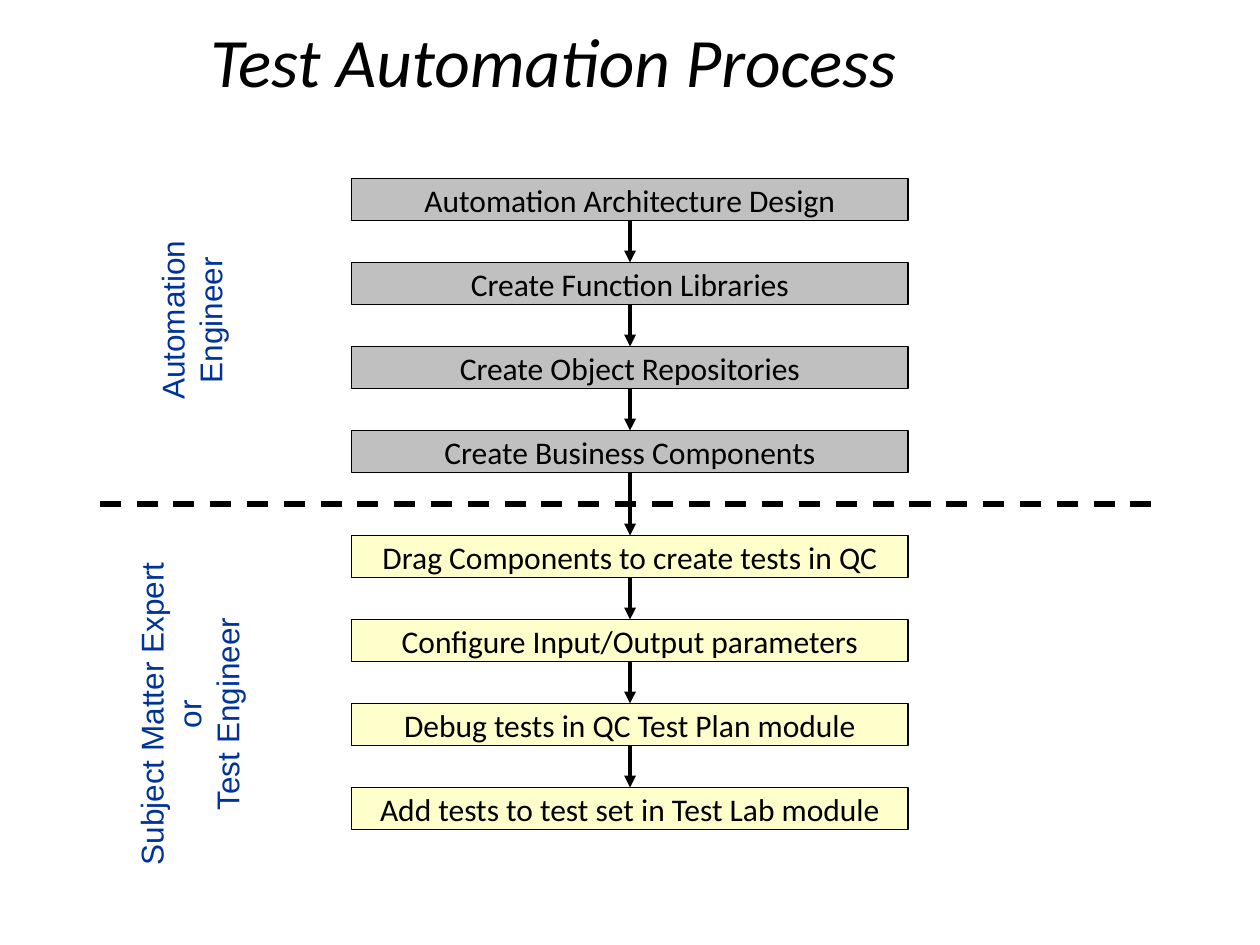
from dataclasses import dataclass
from itertools import pairwise

from lxml import etree
from pptx import Presentation
from pptx.dml.color import RGBColor
from pptx.enum.dml import MSO_LINE
from pptx.enum.shapes import MSO_CONNECTOR, MSO_SHAPE
from pptx.enum.text import MSO_ANCHOR, MSO_AUTO_SIZE, PP_ALIGN
from pptx.oxml.ns import qn
from pptx.util import Inches, Pt

RECTANGLE = MSO_SHAPE.RECTANGLE
STRAIGHT = MSO_CONNECTOR.STRAIGHT
DASH = MSO_LINE.DASH
CENTER = PP_ALIGN.CENTER
MIDDLE, TOP = MSO_ANCHOR.MIDDLE, MSO_ANCHOR.TOP
FIXED, GROW = MSO_AUTO_SIZE.NONE, MSO_AUTO_SIZE.SHAPE_TO_FIT_TEXT

COLUMNS, ROWS = 120, 90


@dataclass(frozen=True)
class Theme:
    ink: RGBColor = RGBColor(0x00, 0x00, 0x00)
    role: RGBColor = RGBColor(0x00, 0x33, 0x99)
    engineer_fill: RGBColor = RGBColor(0xC0, 0xC0, 0xC0)
    expert_fill: RGBColor = RGBColor(0xFF, 0xFF, 0xCC)
    heading_font: str = "Calibri"
    role_font: str = "Arial"
    title_size: float = 39.6
    text_size: float = 18
    outline: float = 0.75
    arrow: float = 2.25
    divider: float = 3


class ProcessSlide:
    """Places elements on a grid of COLUMNS by ROWS."""

    def __init__(self, deck, theme):
        self.theme = theme
        self.slide = deck.slides.add_slide(deck.slide_layouts[5])
        self.column = deck.slide_width / COLUMNS
        self.row = deck.slide_height / ROWS

    def grid(self, left, top, width, height):
        return (round(left * self.column), round(top * self.row),
                round(width * self.column), round(height * self.row))

    def set_text(self, frame, lines, color, frame_format, font_format):
        for name, value in frame_format.items():
            setattr(frame, name, value)
        frame.text = "\n".join(lines)
        for paragraph in frame.paragraphs:
            paragraph.alignment = CENTER
            font = paragraph.runs[0].font
            font.color.rgb = color
            for name, value in font_format.items():
                setattr(font, name, value)

    def title(self, text, place):
        title = self.slide.shapes.title
        title.left, title.top, title.width, title.height = self.grid(*place)
        self.set_text(title.text_frame, [text], self.theme.ink,
                      {"vertical_anchor": MIDDLE, "auto_size": FIXED, "word_wrap": True},
                      {"name": self.theme.heading_font, "size": Pt(self.theme.title_size),
                       "italic": True})

    def role(self, lines, place):
        label = self.slide.shapes.add_textbox(*self.grid(*place))
        label.rotation = 270
        self.set_text(label.text_frame, lines, self.theme.role,
                      {"vertical_anchor": TOP, "auto_size": GROW, "word_wrap": True},
                      {"name": self.theme.role_font, "size": Pt(self.theme.text_size)})

    def step(self, text, place, fill):
        box = self.slide.shapes.add_shape(RECTANGLE, *self.grid(*place))
        box.shadow.inherit = False
        box.fill.solid()
        box.fill.fore_color.rgb = fill
        box.line.color.rgb = self.theme.ink
        box.line.width = Pt(self.theme.outline)
        self.set_text(box.text_frame, [text], self.theme.ink,
                      {"vertical_anchor": MIDDLE, "word_wrap": False},
                      {"name": self.theme.heading_font, "size": Pt(self.theme.text_size)})
        return box

    def line(self, start, end, weight):
        line = self.slide.shapes.add_connector(STRAIGHT, *self.grid(*start, *end))
        line.line.color.rgb = self.theme.ink
        line.line.width = Pt(weight)
        etree.SubElement(line._element.spPr, qn("a:effectLst"))
        return line

    def divider(self, start, end):
        self.line(start, end, self.theme.divider).line.dash_style = DASH

    def arrow(self, upper, lower):
        arrow = self.line((0, 0), (0, 0), self.theme.arrow)
        arrow.begin_connect(upper, 2)
        arrow.end_connect(lower, 0)
        outline = arrow._element.spPr.find(qn("a:ln"))
        etree.SubElement(outline, qn("a:tailEnd"), type="triangle")


theme = Theme()
deck = Presentation()
deck.slide_width, deck.slide_height = Inches(10), Inches(7.5)
process = ProcessSlide(deck, theme)

process.title("Test Automation Process", (7.5, 2.25, 90.4, 6.8))

# Roles and the line between them
process.role(["Automation", "Engineer"], (7.7, 26.3, 21, 8.4))
process.divider((9.5, 48), (110.5, 48))
process.role(["Subject Matter Expert", "or", "Test Engineer"], (0, 62, 36, 12))

# Steps of each role: first row, fill, wording
PHASES = [
    (17, theme.engineer_fill, ["Automation Architecture Design",
                               "Create Function Libraries",
                               "Create Object Repositories",
                               "Create Business Components"]),
    (51, theme.expert_fill, ["Drag Components to create tests in QC",
                             "Configure Input/Output parameters",
                             "Debug tests in QC Test Plan module",
                             "Add tests to test set in Test Lab module"]),
]
STEP_LEFT, STEP_WIDTH, STEP_HEIGHT, STEP_PITCH = 33.5, 53, 4, 8

steps = [
    process.step(text, (STEP_LEFT, first_row + i * STEP_PITCH, STEP_WIDTH, STEP_HEIGHT), fill)
    for first_row, fill, texts in PHASES
    for i, text in enumerate(texts)
]

# Flow from each step to the next
for upper, lower in pairwise(steps):
    process.arrow(upper, lower)

deck.save("out.pptx")
